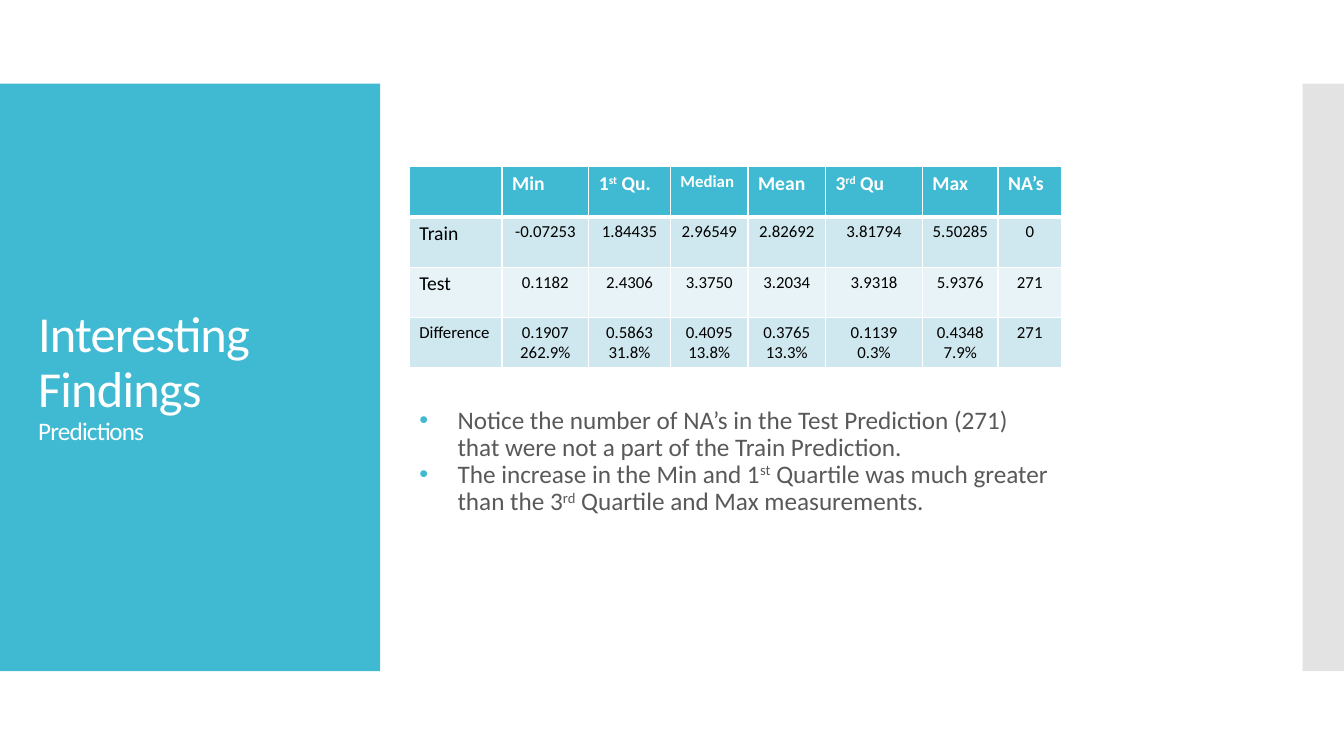
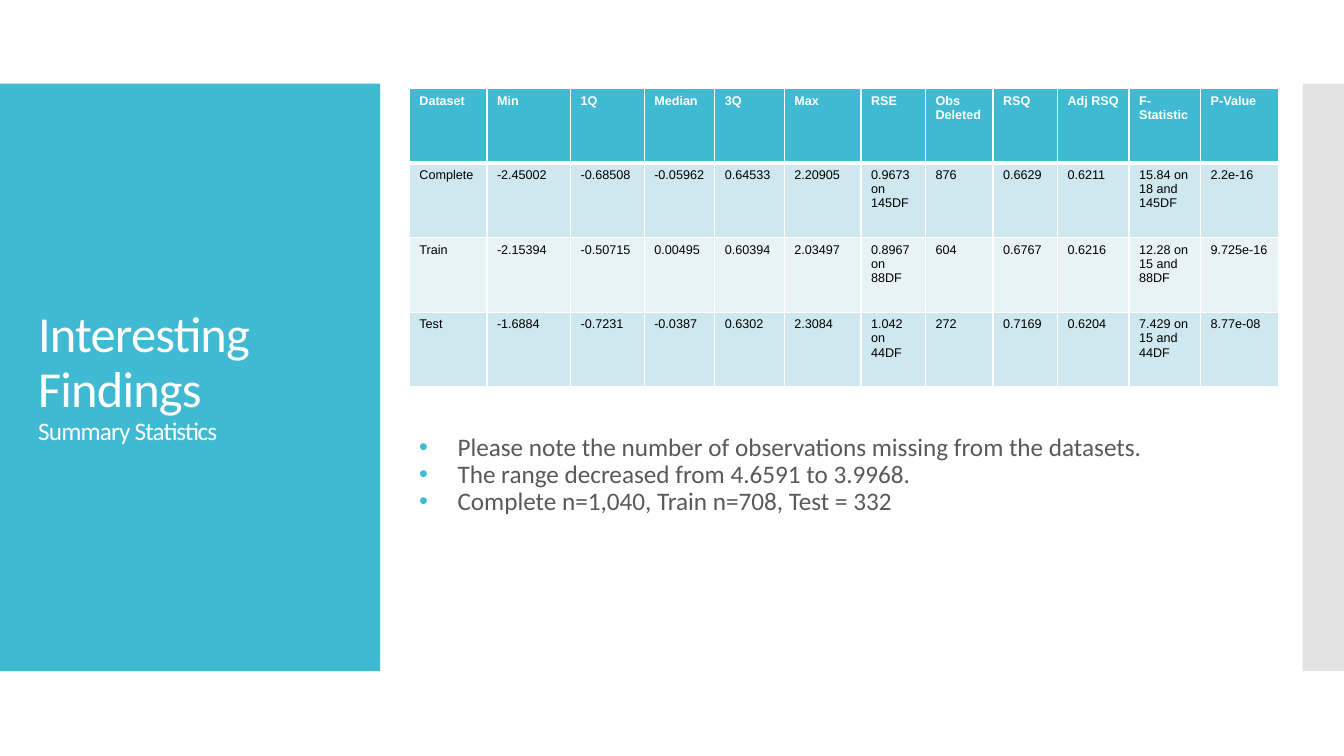
from dataclasses import dataclass

from lxml import etree
from pptx import Presentation
from pptx.dml.color import RGBColor
from pptx.enum.shapes import MSO_SHAPE
from pptx.enum.text import MSO_ANCHOR, PP_ALIGN
from pptx.oxml.ns import qn
from pptx.util import Inches, Pt

RECTANGLE = MSO_SHAPE.RECTANGLE
MIDDLE, BOTTOM = MSO_ANCHOR.MIDDLE, MSO_ANCHOR.BOTTOM
LEFT, CENTER = PP_ALIGN.LEFT, PP_ALIGN.CENTER


@dataclass(frozen=True)
class Theme:
    accent: str = "40BAD2"
    side: str = "C8C8C8"
    white: str = "FFFFFF"
    black: str = "000000"
    body: str = "595959"
    bands: tuple = ("CFE7EE", "E8F3F7")
    font: str = "Calibri"
    small_font: str = "Arial"
    title_size: int = 36
    text_size: int = 18
    label_size: int = 14
    value_size: int = 12
    small_size: int = 9


class FindingsDeck:
    """Builds the findings slides in one shared style."""

    def __init__(self, theme):
        self.theme = theme
        self.deck = Presentation()
        self.deck.slide_width = Inches(13.33)
        self.deck.slide_height = Inches(7.5)
        self.page = None

    def add_page(self, subtitle):
        self.page = self.deck.slides.add_slide(self.deck.slide_layouts[6])
        self.add_band(0, 3.77, self.theme.accent)
        self.add_band(12.92, 0.41, self.theme.side, opacity=50)
        self.add_title("Interesting Findings", subtitle)

    def add_band(self, left, width, color, opacity=100):
        band = self.page.shapes.add_shape(
            RECTANGLE, Inches(left), Inches(0.83), Inches(width), Inches(5.83))
        band.shadow.inherit = False
        band.line.fill.background()
        band.fill.solid()
        band.fill.fore_color.rgb = RGBColor.from_string(color)
        if opacity < 100:
            tint = band.fill._xPr.find(qn("a:solidFill"))[0]
            etree.SubElement(tint, qn("a:alpha"), val=str(opacity * 1000))

    def add_box(self, left, top, width, height, anchor):
        box = self.page.shapes.add_textbox(
            Inches(left), Inches(top), Inches(width), Inches(height))
        frame = box.text_frame
        frame.word_wrap = True
        frame.vertical_anchor = anchor
        return frame

    def add_span(self, para, text, size, color, font, bold=False):
        span = para.add_run()
        span.text = text
        values = {"size": Pt(size), "name": font, "bold": bold}
        for name, value in values.items():
            setattr(span.font, name, value)
        span.font.color.rgb = RGBColor.from_string(color)
        return span._r.get_or_add_rPr()

    def add_marked_text(self, para, text, **style):
        for index, part in enumerate(text.split("^")):
            if part:
                props = self.add_span(para, part, **style)
                if index % 2:
                    props.set("baseline", "30000")

    def add_title(self, title, subtitle):
        theme = self.theme
        para = self.add_box(0.28, 1.23, 3.22, 5.03, MIDDLE).paragraphs[0]
        para.line_spacing = 0.9
        for text, size in ((title, theme.title_size), (subtitle, theme.text_size)):
            if para.runs:
                para.add_line_break()
            props = self.add_span(para, text, size, theme.white, theme.font)
            props.set("spc", "-60")

    def add_bullets(self, width, lines):
        theme = self.theme
        frame = self.add_box(4.06, 3.64, width, 1.53, BOTTOM)
        for index, line in enumerate(lines):
            para = frame.add_paragraph() if index else frame.paragraphs[0]
            para.line_spacing = 0.9
            props = para._p.get_or_add_pPr()
            props.set("marL", str(Inches(0.38)))
            props.set("indent", str(-Inches(0.38)))
            color = etree.SubElement(props, qn("a:buClr"))
            etree.SubElement(color, qn("a:srgbClr"), val=theme.accent)
            etree.SubElement(props, qn("a:buFont"), typeface="Arial")
            etree.SubElement(props, qn("a:buChar"), char="•")
            self.add_marked_text(para, line, size=theme.text_size,
                                 color=theme.body, font=theme.font)

    def add_borders(self, cell, row):
        props = cell._tc.get_or_add_tcPr()
        weights = {"L": 1, "R": 1, "T": 3 if row == 1 else 1, "B": 3 if row == 0 else 1}
        for side, weight in weights.items():
            line = etree.SubElement(props, qn(f"a:ln{side}"), w=str(Pt(weight)))
            fill = etree.SubElement(line, qn("a:solidFill"))
            etree.SubElement(fill, qn("a:srgbClr"), val=self.theme.white)

    def add_table(self, top, widths, row_height, rows, font, label_size,
                  value_size, value_align=LEFT, sizes=None):
        theme = self.theme
        table = self.page.shapes.add_table(
            len(rows), len(widths), Inches(4.06), Inches(top),
            Inches(sum(widths)), Inches(row_height * len(rows))).table
        table.horz_banding = False
        for column, width in zip(table.columns, widths):
            column.width = Inches(width)
        for row, texts in enumerate(rows):
            table.rows[row].height = Inches(row_height)
            header = row == 0
            for column, text in enumerate(texts):
                cell = table.cell(row, column)
                self.add_borders(cell, row)
                cell.fill.solid()
                fill = theme.accent if header else theme.bands[(row - 1) % 2]
                cell.fill.fore_color.rgb = RGBColor.from_string(fill)
                label = header or column == 0
                size = (sizes or {}).get((row, column), label_size if label else value_size)
                for index, line in enumerate(text.split("\n")):
                    frame = cell.text_frame
                    para = frame.add_paragraph() if index else frame.paragraphs[0]
                    para.alignment = LEFT if label else value_align
                    self.add_marked_text(
                        para, line, size=size, font=font, bold=header,
                        color=theme.white if header else theme.black)


def main():
    theme = Theme()
    findings = FindingsDeck(theme)

    findings.add_page("Predictions")
    findings.add_bullets(6.48, [
        "Notice the number of NA’s in the Test Prediction (271) "
        "that were not a part of the Train Prediction.",
        "The increase in the Min and 1^st^ Quartile was much greater "
        "than the 3^rd^ Quartile and Max measurements.",
    ])
    findings.add_table(
        1.65, [0.92, 0.86, 0.81, 0.77, 0.77, 0.96, 0.75, 0.63], 0.5,
        [
            ["", "Min", "1^st^ Qu.", "Median", "Mean", "3^rd^ Qu", "Max", "NA’s"],
            ["Train", "-0.07253", "1.84435", "2.96549", "2.82692", "3.81794", "5.50285", "0"],
            ["Test", "0.1182", "2.4306", "3.3750", "3.2034", "3.9318", "5.9376", "271"],
            ["Difference", "0.1907\n262.9%", "0.5863\n31.8%", "0.4095\n13.8%",
             "0.3765\n13.3%", "0.1139\n0.3%", "0.4348\n7.9%", "271"],
        ],
        theme.font, theme.label_size, theme.value_size, CENTER,
        {(0, 3): theme.value_size, (3, 0): theme.value_size})

    findings.add_page("Summary Statistics")
    findings.add_bullets(8.63, [
        "Please note the number of observations missing from the datasets.",
        "The range decreased from 4.6591 to 3.9968.",
        "Complete n=1,040, Train n=708, Test = 332",
    ])
    findings.add_table(
        0.88, [0.77, 0.83, 0.73, 0.7, 0.69, 0.76, 0.64, 0.67, 0.64, 0.71, 0.71, 0.77], 0.74,
        [
            ["Dataset", "Min", "1Q", "Median", "3Q", "Max", "RSE", "Obs Deleted",
             "RSQ", "Adj RSQ", "F-Statistic", "P-Value"],
            ["Complete", "-2.45002", "-0.68508", "-0.05962", "0.64533", "2.20905",
             "0.9673 on 145DF", "876", "0.6629", "0.6211", "15.84 on 18 and 145DF", "2.2e-16"],
            ["Train", "-2.15394", "-0.50715", "0.00495", "0.60394", "2.03497",
             "0.8967 on 88DF", "604", "0.6767", "0.6216", "12.28 on 15 and 88DF", "9.725e-16"],
            ["Test", "-1.6884", "-0.7231", "-0.0387", "0.6302", "2.3084",
             "1.042 on 44DF", "272", "0.7169", "0.6204", "7.429 on 15 and 44DF", "8.77e-08"],
        ],
        theme.small_font, theme.small_size, theme.small_size)

    findings.deck.save("out.pptx")


if __name__ == "__main__":
    main()
